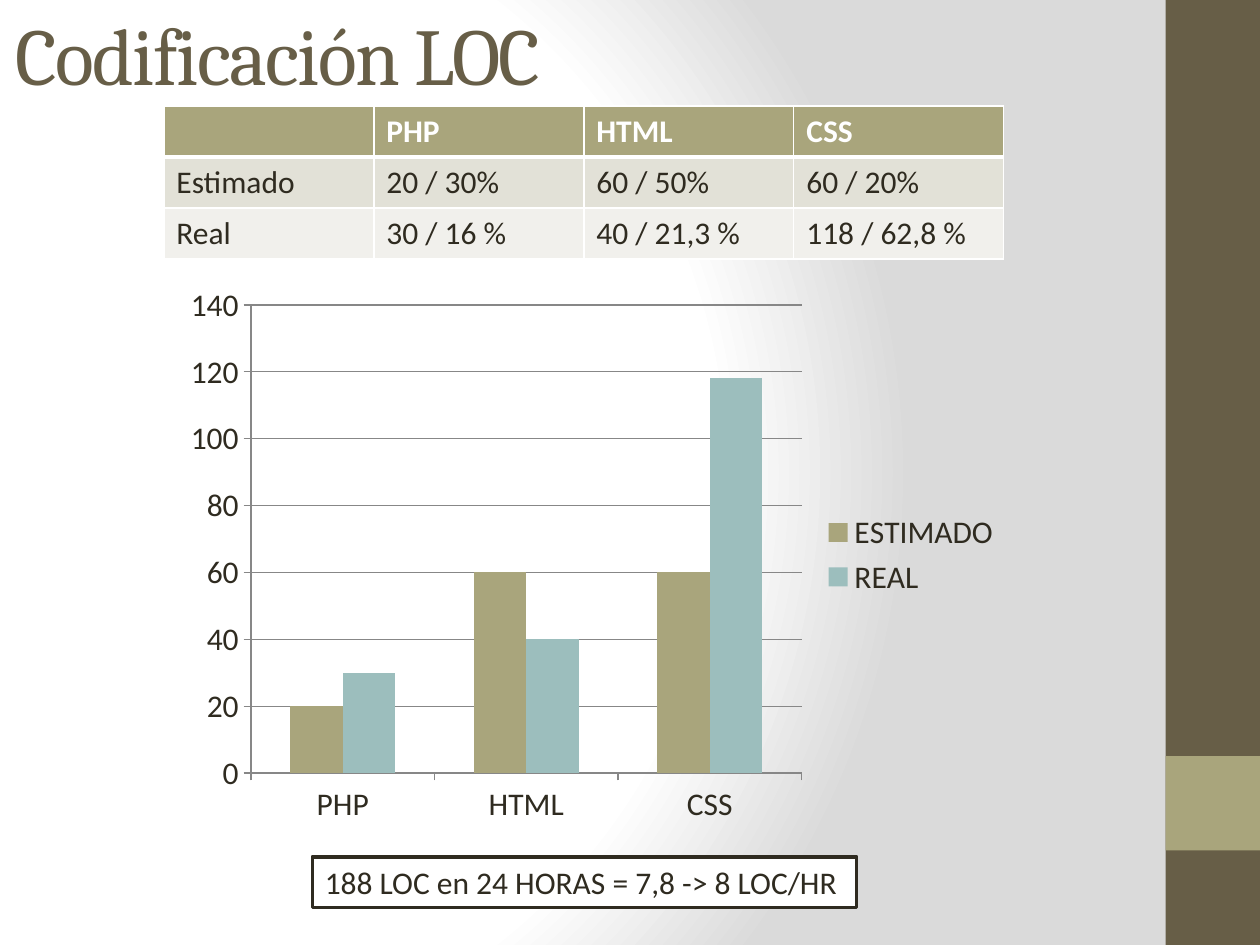
from dataclasses import dataclass

from lxml import etree
from pptx import Presentation
from pptx.chart.data import CategoryChartData
from pptx.dml.color import RGBColor
from pptx.enum.chart import XL_CHART_TYPE, XL_LEGEND_POSITION, XL_TICK_MARK
from pptx.enum.shapes import MSO_SHAPE
from pptx.enum.text import MSO_ANCHOR, MSO_AUTO_SIZE, PP_ALIGN
from pptx.oxml import parse_xml
from pptx.oxml.ns import nsdecls, qn
from pptx.util import Pt

COLUMNS = XL_CHART_TYPE.COLUMN_CLUSTERED
LEGEND_RIGHT = XL_LEGEND_POSITION.RIGHT
TICK_OUT = XL_TICK_MARK.OUTSIDE
RECTANGLE = MSO_SHAPE.RECTANGLE
MIDDLE = MSO_ANCHOR.MIDDLE
GROW = MSO_AUTO_SIZE.SHAPE_TO_FIT_TEXT
LEFT = PP_ALIGN.LEFT


@dataclass(frozen=True)
class Theme:
    brown: str = "675E47"
    olive: str = "A9A57C"
    teal: str = "9CBEBD"
    ink: str = "2F2B20"
    white: str = "FFFFFF"
    gray: str = "DADADA"
    axis: str = "878787"
    bands: tuple = ("E2E1D7", "F1F0EC")
    heading_font: str = "Cambria"
    body_font: str = "Calibri"
    heading_size: int = 46
    body_size: int = 18


THEME = Theme()
LANGUAGES = ["PHP", "HTML", "CSS"]
TABLE_ROWS = [
    ["", *LANGUAGES],
    ["Estimado", "20 / 30%", "60 / 50%", "60 / 20%"],
    ["Real", "30 / 16 %", "40 / 21,3 %", "118 / 62,8 %"],
]
SERIES = [
    ("ESTIMADO", (20, 60, 60), THEME.olive),
    ("REAL", (30, 40, 118), THEME.teal),
]


def rgb(color):
    return RGBColor.from_string(color)


def points(*lengths):
    return [Pt(length) for length in lengths]


def paint(target, color):
    target.fill.solid()
    target.fill.fore_color.rgb = rgb(color)


def style_font(font, color=THEME.ink, size=THEME.body_size,
               name=THEME.body_font, bold=False):
    font.name = name
    font.size = Pt(size)
    font.bold = bold
    font.color.rgb = rgb(color)


def add_span(frame, text, **style):
    para = frame.paragraphs[0]
    para.alignment = LEFT
    span = para.add_run()
    span.text = text
    style_font(span.font, **style)
    return span


def set_background(page):
    """Radial gradient that darkens towards the right edge."""
    stops = "".join(
        f'<a:gs pos="{percent * 1000}"><a:srgbClr val="{color}"/></a:gs>'
        for percent, color in ((0, THEME.white), (75, THEME.white), (100, THEME.gray)))
    page.element.cSld.insert(0, parse_xml(
        f'<p:bg {nsdecls("p", "a")}><p:bgPr><a:gradFill rotWithShape="1">'
        f'<a:gsLst>{stops}</a:gsLst><a:path path="circle">'
        '<a:fillToRect l="20000" t="50000" r="100000" b="50000"/></a:path>'
        '</a:gradFill><a:effectLst/></p:bgPr></p:bg>'))


def add_rectangle(page, place, color):
    box = page.shapes.add_shape(RECTANGLE, *points(*place))
    box.shadow.inherit = False
    paint(box, color)
    box.line.fill.background()
    return box


def add_title(page, text):
    frame = page.shapes.add_textbox(*points(2, 0, 600, 60.5)).text_frame
    frame.word_wrap = True
    frame.vertical_anchor = MIDDLE
    span = add_span(frame, text, color=THEME.brown, size=THEME.heading_size,
                    name=THEME.heading_font)
    span.font._element.set("spc", "-100")


def set_borders(cell, bottom):
    properties = cell._tc.get_or_add_tcPr()
    widths = {"lnL": 1, "lnR": 1, "lnT": 1, "lnB": bottom}
    for index, (tag, width) in enumerate(widths.items()):
        line = etree.Element(qn(f"a:{tag}"), w=str(Pt(width)))
        fill = etree.SubElement(line, qn("a:solidFill"))
        etree.SubElement(fill, qn("a:srgbClr"), val=THEME.white)
        properties.insert(index, line)


def add_comparison_table(page):
    column_width, row_height = 120, 29.2
    row_count, column_count = len(TABLE_ROWS), len(TABLE_ROWS[0])
    place = points(93.6, 60.5, column_width * column_count, row_height * row_count)
    table = page.shapes.add_table(row_count, column_count, *place).table
    fills = [THEME.olive, *THEME.bands]
    for row, texts, fill in zip(table.rows, TABLE_ROWS, fills):
        header = texts is TABLE_ROWS[0]
        for cell, text in zip(row.cells, texts):
            paint(cell, fill)
            set_borders(cell, bottom=3 if header else 1)
            if text:
                add_span(cell.text_frame, text, bold=header,
                         color=THEME.white if header else THEME.ink)


def style_axis(axis):
    axis.major_tick_mark = TICK_OUT
    style_font(axis.tick_labels.font)
    axis.format.line.color.rgb = rgb(THEME.axis)


def add_loc_chart(page):
    data = CategoryChartData()
    data.categories = LANGUAGES
    for name, values, _ in SERIES:
        data.add_series(name, values)
    chart = page.shapes.add_chart(COLUMNS, *points(99.4, 157, 480, 320), data).chart
    style_font(chart.font)
    chart.has_title = False
    chart.has_legend = True
    chart.legend.position = LEGEND_RIGHT
    chart.legend.include_in_layout = False
    style_font(chart.legend.font)
    plot = chart.plots[0]
    plot.gap_width = 150
    plot.overlap = 0
    plot.vary_by_categories = False
    for series, (_, _, color) in zip(plot.series, SERIES):
        paint(series.format, color)
    style_axis(chart.category_axis)
    value_axis = chart.value_axis
    style_axis(value_axis)
    value_axis.minimum_scale, value_axis.maximum_scale = 0, 140
    value_axis.major_unit = 20
    value_axis.has_major_gridlines = True
    value_axis.major_gridlines.format.line.color.rgb = rgb(THEME.axis)


def add_result_box(page, text):
    box = add_rectangle(page, (178.5, 489.6, 311, 29.1), THEME.white)
    box.line.color.rgb = rgb(THEME.ink)
    box.line.width = Pt(2)
    frame = box.text_frame
    frame.word_wrap = False
    frame.auto_size = GROW
    add_span(frame, text)


def main():
    deck = Presentation()
    deck.slide_width, deck.slide_height = points(720, 540)
    page = deck.slides.add_slide(deck.slide_layouts[6])
    set_background(page)
    add_rectangle(page, (666, 0, 54, 540), THEME.brown)
    add_rectangle(page, (666, 432, 54, 54), THEME.olive)
    add_title(page, "Codificación LOC")
    add_comparison_table(page)
    add_loc_chart(page)
    add_result_box(page, "188 LOC en 24 HORAS = 7,8 -> 8 LOC/HR")
    deck.save("out.pptx")


if __name__ == "__main__":
    main()
